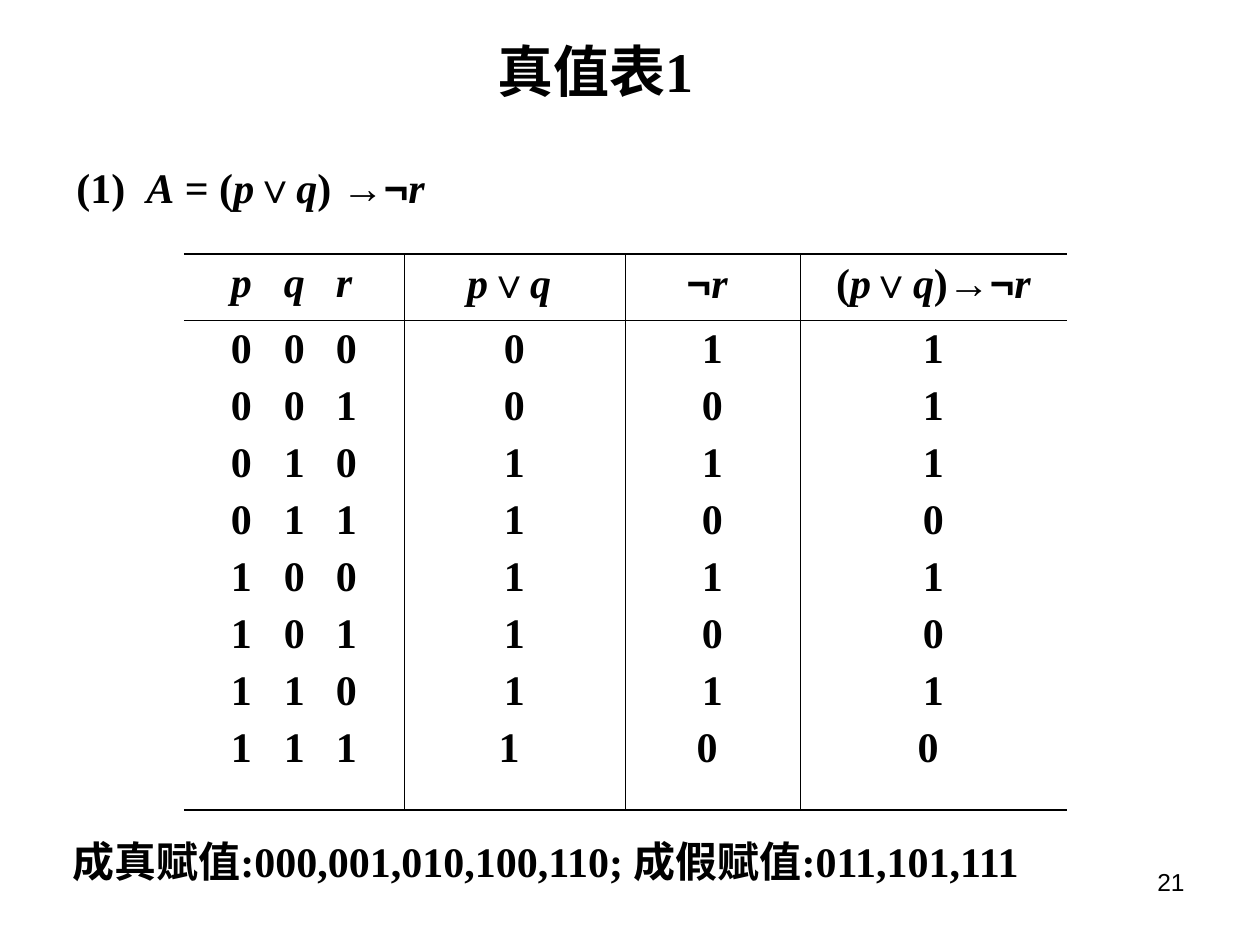
from dataclasses import dataclass
from itertools import groupby, product

from lxml.etree import SubElement as Sub
from pptx import Presentation
from pptx.dml.color import RGBColor as RGB
from pptx.enum.text import MSO_ANCHOR as Anchor, MSO_AUTO_SIZE as Fit, PP_ALIGN as Align
from pptx.oxml.ns import qn
from pptx.util import Emu, Pt

PX = 914400 / 126


@dataclass(frozen=True)
class Theme:
    ink: RGB = RGB(0, 0, 0)
    serif: str = "Times New Roman"
    sans: str = "Arial"
    title: int = 32
    body: int = 24
    number: int = 14
    thick: float = 1.08
    thin: float = 0.45


THEME = Theme()
LETTER = {"name": THEME.serif, "italic": True}
SYMBOL = {"name": THEME.sans, "italic": False}
PLAIN = {"name": THEME.serif, "italic": False}


def px(count):
    return Emu(round(count * PX))


def put(item, **vals):
    for name, val in vals.items():
        setattr(item, name, val)


def look(char):
    if char in "∨→¬":
        return SYMBOL
    return LETTER if char in "Apqr" else PLAIN


def write(par, text, size=THEME.body):
    """Add text with italic variables and sans-serif logic symbols."""
    for font, chars in groupby(text, look):
        run = par.add_run()
        run.text = "".join(chars)
        put(run.font, size=Pt(size), bold=True, **font)
        run.font.color.rgb = THEME.ink


def set_tabs(par, stops):
    tabs = Sub(par._p.get_or_add_pPr(), qn("a:tabLst"))
    for stop in stops:
        Sub(tabs, qn("a:tab"), pos=str(px(stop)), algn="l")


def place(shape, box):
    for name, val in zip(("left", "top", "width", "height"), box):
        setattr(shape, name, px(val))


def add_title(slide, box, text):
    shape = slide.shapes.title
    place(shape, box)
    frame = shape.text_frame
    put(frame, word_wrap=True, auto_size=Fit.NONE, vertical_anchor=Anchor.TOP)
    par = frame.paragraphs[0]
    par.alignment = Align.LEFT
    write(par, text, THEME.title)


def add_line(slide, box, text, stops=(), **form):
    frame = slide.shapes.add_textbox(*map(px, box)).text_frame
    put(frame, **{"word_wrap": True, "auto_size": Fit.SHAPE_TO_FIT_TEXT, **form})
    par = frame.paragraphs[0]
    if stops:
        set_tabs(par, stops)
    write(par, text)


def add_number(slide, box, text):
    frame = slide.shapes.add_textbox(*map(px, box)).text_frame
    frame.word_wrap = True
    par = frame.paragraphs[0]
    par.alignment = Align.RIGHT
    run = par.add_run()
    run.text = text
    put(run.font, size=Pt(THEME.number), name=THEME.sans)
    run.font.color.rgb = THEME.ink


def set_edges(cell, **edges):
    """Draw the L, R, T and B edges in points; a width of 0 hides one."""
    props = cell._tc.get_or_add_tcPr()
    for side, width in edges.items():
        line = Sub(props, qn("a:ln" + side), w=str(Pt(width)))
        if width:
            fill = Sub(line, qn("a:solidFill"))
            Sub(fill, qn("a:srgbClr"), val=str(THEME.ink))
        else:
            Sub(line, qn("a:noFill"))


def fill_cell(cell, lines, spread):
    """Write one paragraph a line; spread lines have values on tab stops."""
    frame = cell.text_frame
    for num, text in enumerate(lines):
        par = frame.add_paragraph() if num else frame.paragraphs[0]
        put(par, space_before=Pt(6), alignment=Align.LEFT if spread else Align.CENTER)
        if spread:
            set_tabs(par, (53, 105))
        write(par, text)
    if spread:
        cell.margin_left = px(47)


def add_truth(slide, box, cols, rows):
    cases = list(product((0, 1), repeat=3))
    columns = [
        ("p\tq\tr", lambda p, q, r: f"{p}\t{q}\t{r}"),
        ("p∨q ", lambda p, q, r: str(p | q)),
        ("¬r ", lambda p, q, r: str(1 - r)),
        ("(p∨q)→¬r", lambda p, q, r: str(1 - ((p | q) & r))),
    ]
    table = slide.shapes.add_table(len(rows), len(cols), *map(px, box)).table
    put(table, first_row=False, horz_banding=False)
    for row, high in zip(table.rows, rows):
        row.height = px(high)
    last = len(cols) - 1
    for num, (wide, (head, rule)) in enumerate(zip(cols, columns)):
        table.columns[num].width = px(wide)
        values = [rule(*case) for case in cases]
        values[-1] += " "
        for row, lines in enumerate(([head], values)):
            cell = table.cell(row, num)
            fill_cell(cell, lines, spread=num == 0)
            set_edges(cell,
                      L=THEME.thin if num else 0,
                      R=THEME.thin if num < last else 0,
                      T=THEME.thin if row else THEME.thick,
                      B=THEME.thick if row else THEME.thin)
            cell.fill.background()


def main():
    deck = Presentation()
    put(deck, slide_width=px(1260), slide_height=px(945))
    slide = deck.slides.add_slide(deck.slide_layouts[5])
    add_line(slide, (64, 155, 1071, 63), "(1)\tA = (p∨q) →¬r", stops=(70,))
    add_line(slide, (60, 829, 1021, 63),
             "成真赋值:000,001,010,100,110; 成假赋值:011,101,111",
             word_wrap=False, vertical_anchor=Anchor.MIDDLE)
    add_truth(slide, (184, 254, 883, 556), (220, 221, 175, 267), (66, 490))
    add_title(slide, (485, 30, 250, 81), "真值表1")
    add_number(slide, (903, 861, 294, 66), "21")
    deck.save("out.pptx")


if __name__ == "__main__":
    main()
